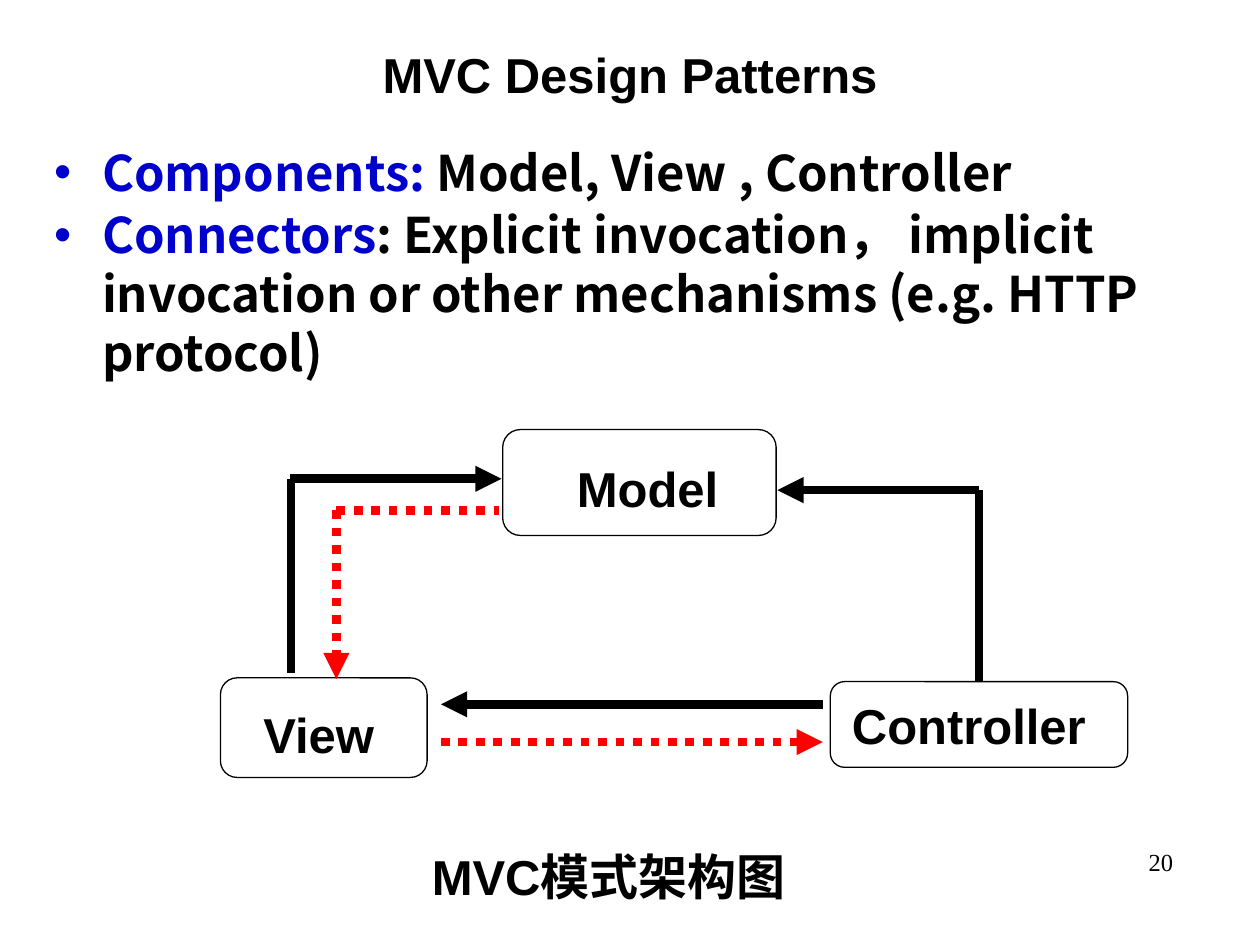
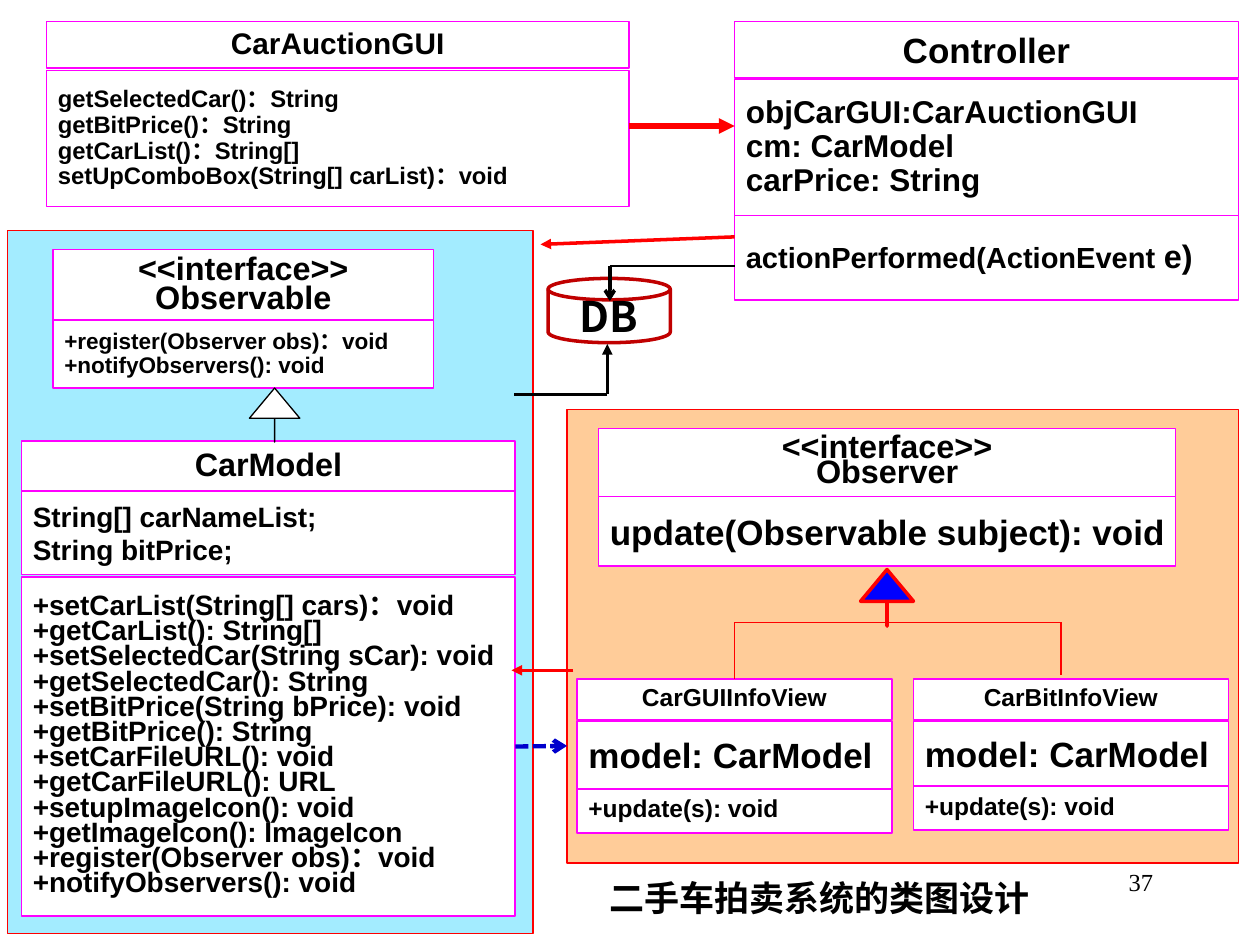
import pptx
import pptx.dml.color
import pptx.enum.dml
import pptx.enum.shapes
import pptx.enum.text
import pptx.oxml
import pptx.oxml.ns
import pptx.util
from pptx.util import Inches

RGBColor = pptx.dml.color.RGBColor
MSO_SHAPE = pptx.enum.shapes.MSO_SHAPE
DASH = pptx.enum.dml.MSO_LINE
ALIGN = pptx.enum.text.PP_ALIGN
qn = pptx.oxml.ns.qn

# Shared colours and fonts
BLACK = RGBColor(0, 0, 0)
WHITE = RGBColor(255, 255, 255)
RED = RGBColor(255, 0, 0)
DARK_RED = RGBColor(0xC0, 0, 0)
BLUE = RGBColor(0, 0, 255)
TERM_BLUE = RGBColor(0, 0, 0xCC)
MAGENTA = RGBColor(255, 0, 255)
SKY = RGBColor(0, 0xCC, 255)
PEACH = RGBColor(255, 0xCC, 0x99)
SANS = "Arial"
SERIF = "Times New Roman"
CJK = "Noto Sans CJK SC"


def add_xml(parent, tag, **attributes):
    child = pptx.oxml.parse_xml(f'<{tag} {pptx.oxml.ns.nsdecls("a")}/>')
    for name, value in attributes.items():
        child.set(name, value)
    parent.append(child)
    return child


def style_font(paragraph, size, name=SANS, east=None, bold=True):
    font = paragraph.font
    font.size = pptx.util.Pt(size)
    font.name = name
    font.bold = bold
    font.color.rgb = BLACK
    properties = paragraph._p.pPr.find(qn("a:defRPr"))
    add_xml(properties, "a:ea", typeface=east or name)


def write(frame, lines, size, align=ALIGN.CENTER, spacing=None, **font):
    frame.word_wrap = True
    for number, line in enumerate(lines):
        paragraph = frame.paragraphs[0] if number == 0 else frame.add_paragraph()
        paragraph.text = line
        paragraph.alignment = align
        if spacing:
            paragraph.line_spacing = spacing
        style_font(paragraph, size, **font)


def set_insets(frame, left, top, right, bottom):
    frame.margin_left, frame.margin_top = Inches(left), Inches(top)
    frame.margin_right, frame.margin_bottom = Inches(right), Inches(bottom)


def place(shape, left, top, width, height):
    shape.left, shape.top = Inches(left), Inches(top)
    shape.width, shape.height = Inches(width), Inches(height)


def add_title(slide, text, box, size, **font):
    title = slide.shapes.title
    place(title, *box)
    title.text_frame.auto_size = pptx.enum.text.MSO_AUTO_SIZE.NONE
    title.text_frame.vertical_anchor = pptx.enum.text.MSO_ANCHOR.MIDDLE
    write(title.text_frame, [text], size, **font)


def add_label(slide, text, box, size, align, **font):
    label = slide.shapes.add_textbox(*map(Inches, box))
    write(label.text_frame, [text], size, align, **font)
    return label


def add_page_number(slide, number, left, top):
    add_label(slide, number, (left, top, 2.08, 0.5), 14, ALIGN.RIGHT,
              name=SERIF, bold=False)


def add_box(slide, kind, box, fill=WHITE, line=BLACK, weight=0.75):
    shape = slide.shapes.add_shape(kind, *map(Inches, box))
    shape.shadow.inherit = False
    shape.fill.solid()
    shape.fill.fore_color.rgb = fill
    shape.line.color.rgb = line
    shape.line.width = pptx.util.Pt(weight)
    shape.text_frame.vertical_anchor = pptx.enum.text.MSO_ANCHOR.MIDDLE
    return shape


def add_line(slide, start, end, color, weight, head=None, dash=None):
    line = slide.shapes.add_connector(
        pptx.enum.shapes.MSO_CONNECTOR.STRAIGHT, *map(Inches, start + end))
    line.line.color.rgb = color
    line.line.width = pptx.util.Pt(weight)
    if dash:
        line.line.dash_style = dash
    properties = line._element.spPr
    if head:
        add_xml(properties.find(qn("a:ln")), "a:tailEnd", type=head)
    add_xml(properties, "a:effectLst")
    return line


def add_component(slide, name, box, left_inset, right_inset, spacing=None):
    component = add_box(slide, MSO_SHAPE.ROUNDED_RECTANGLE, box)
    set_insets(component.text_frame, left_inset, 0.03, right_inset, 0.03)
    write(component.text_frame, [name], 28, spacing=spacing)
    return component


def add_class(slide, left, width, *compartments):
    """Each compartment: top, height, lines, size, line spacing; the first is the name."""
    parts = []
    for top, height, lines, size, spacing in compartments:
        part = add_box(slide, MSO_SHAPE.RECTANGLE, (left, top, width, height),
                       line=MAGENTA, weight=1)
        # Members get a narrow right inset so that long signatures stay on one line
        align, right_inset = (ALIGN.LEFT, 0.03) if parts else (ALIGN.CENTER, 0.09)
        set_insets(part.text_frame, 0.09, 0.04, right_inset, 0.04)
        write(part.text_frame, lines, size, align, spacing)
        parts.append(part)
    return parts


def add_inheritance(slide, box, fill, line, weight):
    arrow = add_box(slide, MSO_SHAPE.UP_ARROW, box, fill, line, weight)
    arrow.adjustments[0] = 0
    arrow.adjustments[1] = 0.6


def add_definitions(body, definitions):
    place(body, 0.33, 1.08, 9.25, 2.08)
    frame = body.text_frame
    frame.auto_size = pptx.enum.text.MSO_AUTO_SIZE.NONE
    for number, (term, meaning) in enumerate(definitions):
        paragraph = frame.add_paragraph() if number else frame.paragraphs[0]
        properties = paragraph._p.get_or_add_pPr()
        properties.set("marL", str(Inches(0.38)))
        properties.set("indent", str(-Inches(0.38)))
        add_xml(add_xml(properties, "a:buClr"), "a:srgbClr", val=str(TERM_BLUE))
        add_xml(properties, "a:buChar", char="•")
        paragraph.space_before = pptx.util.Pt(1.8 if number else 0)
        paragraph.line_spacing = pptx.util.Pt(33.7)
        style_font(paragraph, 28, CJK)
        for text, color in ((term, TERM_BLUE), (meaning, BLACK)):
            run = paragraph.add_run()
            run.text = text
            run.font.color.rgb = color


def build_pattern_slide(deck):
    slide = deck.slides.add_slide(deck.slide_layouts[1])
    add_title(slide, "MVC Design Patterns", (0.75, 0.25, 8.5, 0.67), 28)
    add_definitions(slide.placeholders[1], [
        ("Components: ", "Model, View , Controller"),
        ("Connectors", ": Explicit invocation， implicit invocation or other "
                       "mechanisms (e.g. HTTP protocol)"),
    ])
    add_page_number(slide, "20", 7.33, 6.67)

    # The three components
    add_component(slide, "Model", (3.99, 3.41, 2.17, 0.84), 0.2, 0.07, 1.2)
    add_component(slide, "View", (1.75, 5.38, 1.64, 0.79), 0.07, 0.15, 1.2)
    controller = add_component(slide, "Controller", (6.59, 5.41, 2.36, 0.68),
                               0.07, 0.23)

    # Explicit calls are solid black, implicit ones dotted red
    add_line(slide, (2.31, 5.34), (2.31, 3.8), BLACK, 5)
    controller_riser = add_line(slide, (7.77, 5.41), (7.77, 3.89), BLACK, 5)
    controller_riser.begin_connect(controller, 0)
    for start, end in [((2.3, 3.8), (3.98, 3.8)),
                       ((7.77, 3.89), (6.17, 3.89)),
                       ((6.53, 5.59), (3.5, 5.59))]:
        add_line(slide, start, end, BLACK, 5, "triangle")
    for start, end, head in [((3.5, 5.89), (6.53, 5.89), "triangle"),
                             ((2.67, 4.05), (3.96, 4.05), None),
                             ((2.67, 4.05), (2.67, 5.39), "triangle")]:
        add_line(slide, start, end, RED, 5, head, DASH.ROUND_DOT)

    caption = add_label(slide, "MVC模式架构图", (2.83, 6.67, 4, 0.57), 28,
                        ALIGN.CENTER, east=CJK)
    caption.text_frame.vertical_anchor = pptx.enum.text.MSO_ANCHOR.MIDDLE


def build_class_slide(deck):
    slide = deck.slides.add_slide(deck.slide_layouts[5])
    add_title(slide, "二手车拍卖系统的类图设计", (4.67, 6.9, 3.67, 0.44), 20, name=CJK)
    add_page_number(slide, "37", 7.17, 6.83)

    # Observer and model panels
    add_box(slide, MSO_SHAPE.RECTANGLE, (4.5, 3.25, 5.33, 3.6), PEACH, RED)
    model_panel = add_box(slide, MSO_SHAPE.RECTANGLE, (0.06, 1.83, 4.17, 5.58),
                          SKY, RED)
    tint = model_panel._element.spPr.find(qn("a:solidFill"))[0]
    add_xml(tint, "a:alpha", val="36000")

    # GUI and controller
    add_class(slide, 0.37, 4.62,
              (0.17, 0.37, ["CarAuctionGUI"], 17, 0.9),
              (0.56, 1.08, ["getSelectedCar()：String", "getBitPrice()：String",
                            "getCarList()：String[]",
                            "setUpComboBox(String[] carList)：void"], 13.6, 0.9))
    handler = add_class(
        slide, 5.83, 4,
        (0.17, 0.45, ["Controller"], 20, None),
        (0.63, 1.08, ["objCarGUI:CarAuctionGUI", "cm: CarModel",
                      "carPrice: String"], 18, 0.9),
        (1.71, 0.67, ["actionPerformed(ActionEvent"], 16.6, 0.9))[-1]
    argument = handler.text_frame.paragraphs[0].add_run()
    argument.text = " e)"
    argument.font.size = pptx.util.Pt(18.5)

    # Model side
    add_class(slide, 0.42, 3.02,
              (1.98, 0.58, ["<<interface>>", "Observable"], 18.5, 0.75),
              (2.54, 0.54, ["+register(Observer obs)：void",
                            "+notifyObservers(): void"], 12.9, 0.9))
    model_methods = add_class(
        slide, 0.17, 3.92,
        (3.5, 0.4, ["CarModel"], 18.5, 0.9),
        (3.9, 0.66, ["String[] carNameList;", "String bitPrice;"], 16, None),
        (4.58, 2.69, ["+setCarList(String[] cars)：void",
                      "+getCarList(): String[]",
                      "+setSelectedCar(String sCar): void",
                      "+getSelectedCar(): String",
                      "+setBitPrice(String bPrice): void",
                      "+getBitPrice(): String",
                      "+setCarFileURL(): void",
                      "+getCarFileURL(): URL",
                      "+setupImageIcon(): void",
                      "+getImageIcon(): ImageIcon",
                      "+register(Observer obs)：void",
                      "+notifyObservers(): void"], 16, 0.75))[-1]
    add_inheritance(slide, (1.98, 3.08, 0.4, 0.43), WHITE, BLACK, 0.75)

    # Observer side
    add_class(slide, 4.75, 4.58,
              (3.4, 0.55, ["<<interface>>", "Observer"], 18.5, 0.65),
              (3.94, 0.55, ["update(Observable subject): void"], 20, None))
    view_names = []
    for name, left, field_height in [("CarGUIInfoView", 4.58, 0.54),
                                     ("CarBitInfoView", 7.25, 0.52)]:
        parts = add_class(
            slide, left, 2.5,
            (5.39, 0.32, [name], 14, 0.8),
            (5.72, field_height, ["model: CarModel"], 20, None),
            (5.72 + field_height, 0.35, ["+update(s): void"], 14, 0.8))
        view_names.append(parts[0])
    add_inheritance(slide, (6.83, 4.52, 0.42, 0.45), BLUE, RED, 2)
    add_line(slide, (5.83, 4.94), (8.42, 4.94), RED, 0.75)
    gui_branch = add_line(slide, (5.83, 4.94), (5.83, 5.39), RED, 0.75)
    gui_branch.end_connect(view_names[0], 0)
    add_line(slide, (8.42, 4.94), (8.42, 5.36), RED, 0.75)

    # Calls between the parts
    add_line(slide, (4.99, 1), (5.83, 1), RED, 3, "triangle")
    add_line(slide, (5.83, 1.88), (4.29, 1.94), RED, 2, "triangle")
    add_line(slide, (4.55, 5.32), (4.06, 5.32), RED, 2, "triangle")
    notification = add_line(slide, (4.09, 5.92), (4.5, 5.92), TERM_BLUE, 2.5,
                            "arrow", DASH.SQUARE_DOT)
    notification.begin_connect(model_methods, 3)

    # Database and its access paths
    database = add_box(slide, MSO_SHAPE.FLOWCHART_MAGNETIC_DISK,
                       (4.35, 2.21, 0.97, 0.51), line=DARK_RED, weight=2)
    write(database.text_frame, ["DB"], 24, name=CJK)
    add_line(slide, (4.08, 3.13), (4.82, 3.13), BLACK, 1.5)
    add_line(slide, (4.82, 3.13), (4.82, 2.73), BLACK, 2, "triangle")
    add_line(slide, (4.84, 2.11), (5.83, 2.11), BLACK, 1.5)
    add_line(slide, (4.84, 2.11), (4.84, 2.39), BLACK, 2, "arrow")


def main():
    deck = pptx.Presentation()
    deck.slide_width, deck.slide_height = Inches(10), Inches(7.5)
    build_pattern_slide(deck)
    build_class_slide(deck)
    deck.save("out.pptx")


if __name__ == "__main__":
    main()
